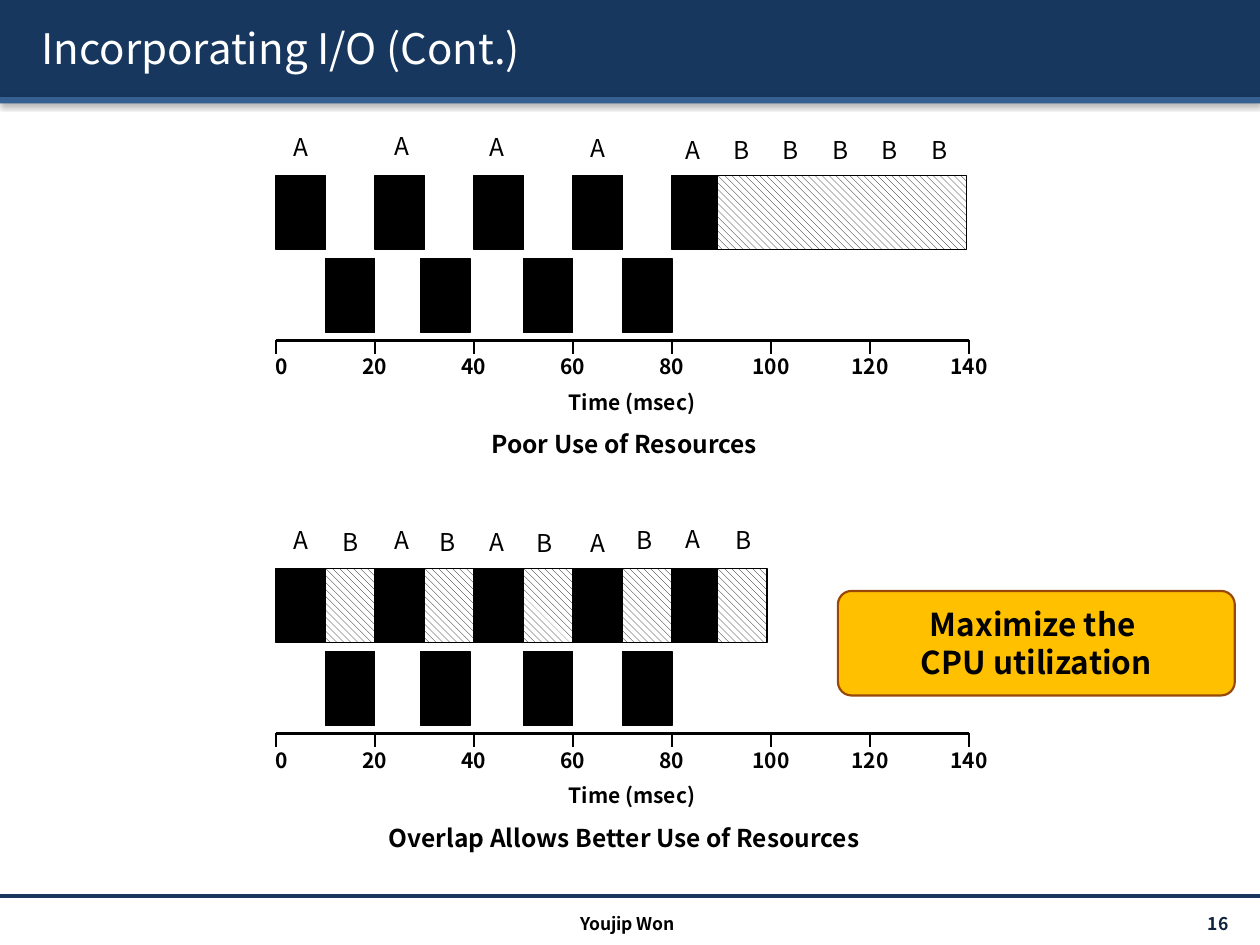
import pptx
import pptx.util
import pptx.dml.color
import pptx.enum.dml
import pptx.enum.shapes
import pptx.enum.text
import pptx.oxml
import pptx.oxml.ns
import pptx.oxml.xmlchemy

# Content: times in msec; labels are (letter, start time, lift in inches)
TITLE, AUTHOR, NUMBER = "Incorporating I/O (Cont.)", "Youjip Won", "16 "
CALLOUT = ["Maximize the ", "CPU utilization"]
AXIS_TITLE = "Time (msec)"
TICKS = range(0, 141, 20)
CPU_A = [(0, 10), (20, 30), (40, 50), (60, 70), (80, 89.2)]
DISK = [(10, 20), (29.25, 39.25), (50, 60), (70, 80)]
CHARTS = [
    {"caption": "Poor Use of Resources", "top": 1.0, "cpu_b": [(89.2, 139.5)],
     "labels": [("A", 0, 0), ("A", 20.4, 0.01), ("A", 39.7, 0), ("A", 60, -0.01),
                ("A", 79.2, -0.02), ("B", 89.1, -0.02), ("B", 99, -0.02),
                ("B", 109.2, -0.02), ("B", 119, -0.02), ("B", 129, -0.02)]},
    {"caption": "Overlap Allows Better Use of Resources", "top": 4.12,
     "cpu_b": [(10, 20), (30, 40), (50, 60), (70, 80), (89.2, 99.2)],
     "labels": [("A", 0, 0), ("B", 10.2, -0.01), ("A", 20.4, 0), ("B", 29.8, -0.01),
                ("A", 39.7, -0.01), ("B", 49.4, -0.02), ("A", 60, -0.02),
                ("B", 69.5, 0), ("A", 79.2, 0.01), ("B", 89.6, 0)]},
]

# Style
FONT = "Noto Sans CJK KR"
COLORS = {"black": "000000", "white": "FFFFFF", "navy": "17375E", "blue": "376092",
          "ink": "0F243E", "gold": "FFC000", "brown": "984807"}
WIDTH, HEIGHT = 10, 7.5
AXIS_LEFT, AXIS_WIDTH, AXIS_SPAN = 2.19, 5.5, 140
BAR_HEIGHT, LABEL_WIDTH = 0.59, 0.39
# Rows of a chart, measured down from its top
ROWS = {"label": 0, "cpu": 0.39, "disk": 1.05, "axis": 1.7, "tick": 1.76,
        "title": 2.04, "caption": 2.36}
ALIGN = pptx.enum.text.PP_ALIGN
ANCHOR = pptx.enum.text.MSO_ANCHOR
SHAPES = pptx.enum.shapes.MSO_SHAPE
inches = pptx.util.Inches

deck = pptx.Presentation()
deck.slide_width, deck.slide_height = inches(WIDTH), inches(HEIGHT)
page = deck.slides.add_slide(deck.slide_layouts[6])


def color(name):
    return pptx.dml.color.RGBColor.from_string(COLORS[name])


def shadow_list(blur, distance, angle, alpha):
    return pptx.oxml.parse_xml(
        f'<a:effectLst {pptx.oxml.ns.nsdecls("a")}><a:outerShdw blurRad="{pptx.util.Pt(blur)}" '
        f'dist="{pptx.util.Pt(distance)}" dir="{angle * 60000}" algn="tl" rotWithShape="0">'
        f'<a:srgbClr val="{COLORS["black"]}"><a:alpha val="{alpha * 1000}"/></a:srgbClr>'
        '</a:outerShdw></a:effectLst>')


def write(shape, lines, size, ink="black", bold=True, align=ALIGN.CENTER, anchor=ANCHOR.TOP):
    frame = shape.text_frame
    frame.word_wrap, frame.vertical_anchor = True, anchor
    for index, line in enumerate(lines):
        para = frame.add_paragraph() if index else frame.paragraphs[0]
        para.alignment = align
        span = para.add_run()
        span.text = line
        for key, value in {"name": FONT, "size": pptx.util.Pt(size), "bold": bold}.items():
            setattr(span.font, key, value)
        span.font.color.rgb = color(ink)
    return frame


def add_text(text, left, top, width, height, size, **style):
    box = page.shapes.add_textbox(*map(inches, (left, top, width, height)))
    return write(box, [text], size, **style)


def add_box(left, top, width, height, fill, line=None, weight=0.75, kind=SHAPES.RECTANGLE):
    box = page.shapes.add_shape(kind, *map(inches, (left, top, width, height)))
    box.shadow.inherit = False
    if fill == "hatch":
        box.fill.patterned()
        box.fill.pattern = pptx.enum.dml.MSO_PATTERN.WIDE_DOWNWARD_DIAGONAL
        box.fill.fore_color.rgb, box.fill.back_color.rgb = color("black"), color("white")
    else:
        box.fill.solid()
        box.fill.fore_color.rgb = color(fill)
    if line:
        box.line.color.rgb, box.line.width = color(line), pptx.util.Pt(weight)
    else:
        box.line.fill.background()
    return box


def add_line(x1, y1, x2, y2, ink="black", weight=1.5):
    line = page.shapes.add_connector(pptx.enum.shapes.MSO_CONNECTOR.STRAIGHT,
                                     *map(inches, (x1, y1, x2, y2)))
    line.line.color.rgb, line.line.width = color(ink), pptx.util.Pt(weight)
    line._element.spPr.append(pptx.oxml.xmlchemy.OxmlElement("a:effectLst"))


def time_x(time):
    return AXIS_LEFT + AXIS_WIDTH * time / AXIS_SPAN


def add_chart_rows(chart):
    row = {name: chart["top"] + drop for name, drop in ROWS.items()}

    # Time axis
    add_line(AXIS_LEFT, row["axis"], AXIS_LEFT + AXIS_WIDTH, row["axis"])
    for time in TICKS:
        x = time_x(time)
        add_line(x, row["axis"], x, row["axis"] + 0.11)
        width = (0.24, 0.47, 0.55)[len(str(time)) - 1]
        shift = 0.02 if time == 0 else 0
        add_text(str(time), x + shift - width / 2, row["tick"], width, 0.3, 12)
    add_text(AXIS_TITLE, 4.19, row["title"], 1.65, 0.3, 12)
    add_text(chart["caption"], 2.88, row["caption"], 4.15, 0.34, 14)

    # Bars: process B, then process A and its disk use
    for spans, level, fill in ((chart["cpu_b"], "cpu", "hatch"),
                               (CPU_A, "cpu", "black"), (DISK, "disk", "black")):
        for start, end in spans:
            add_box(time_x(start), row[level], time_x(end) - time_x(start),
                    BAR_HEIGHT, fill, "black")
    for letter, start, lift in chart["labels"]:
        add_text(letter, time_x(start), row["label"] - lift, LABEL_WIDTH, 0.34, 14, bold=False)


# Header and footer
for top, height, fill in ((0, 0.77, "navy"), (0.77, 0.05, "blue")):
    band = add_box(0, top, WIDTH, height, fill)
    band._element.spPr.remove(band._element.spPr.find(pptx.oxml.ns.qn("a:effectLst")))
    band._element.spPr.append(shadow_list(3.1, 1.6, 90, 38))
add_line(0, 7.11, WIDTH, 7.11, "navy", 2)
heading = add_text(TITLE, 0.23, 0.06, 9.61, 0.64, 24, ink="white", bold=False,
                   align=ALIGN.LEFT, anchor=ANCHOR.MIDDLE)
heading.paragraphs[0].runs[0].font._element.find(
    pptx.oxml.ns.qn("a:solidFill")).addnext(shadow_list(3, 2, 45, 100))
add_text(NUMBER, 8.71, 7.21, 1.17, 0.24, 10, ink="ink", align=ALIGN.RIGHT, anchor=ANCHOR.MIDDLE)
add_text(AUTHOR, 3.32, 7.2, 3.32, 0.24, 10)

# Charts
for chart in CHARTS:
    add_chart_rows(chart)

# Callout
callout = add_box(6.65, 4.69, 3.15, 0.83, "gold", "brown", 1.25, SHAPES.ROUNDED_RECTANGLE)
callout.adjustments[0] = 0.13
frame = write(callout, CALLOUT, 18, anchor=ANCHOR.MIDDLE)
for side, inset in {"left": 0.12, "top": 0.05, "right": 0.12, "bottom": 0.05}.items():
    setattr(frame, f"margin_{side}", inches(inset))

deck.save("out.pptx")
